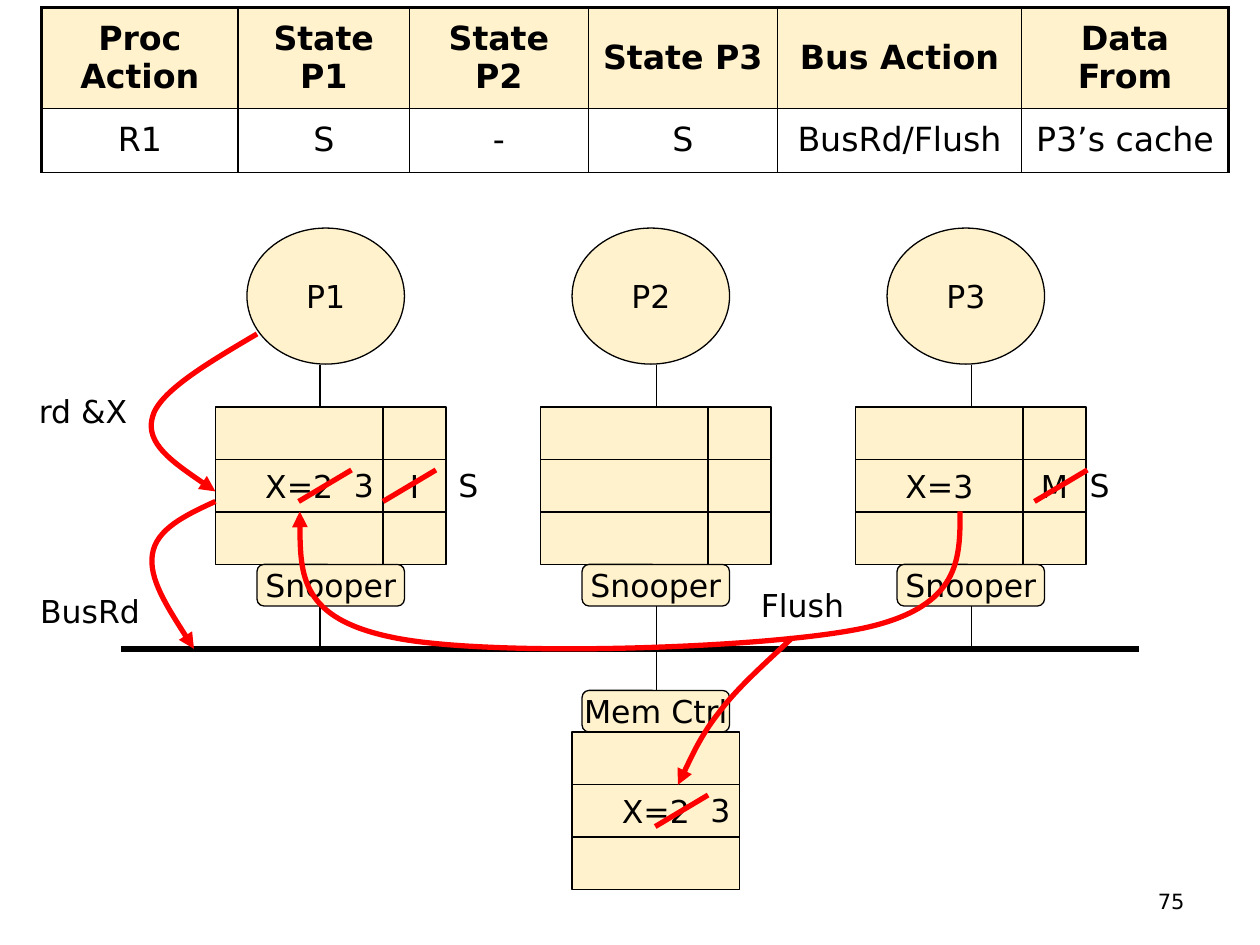
from dataclasses import dataclass

from lxml.etree import SubElement
from pptx import Presentation
from pptx.dml.color import RGBColor
from pptx.enum.shapes import MSO_CONNECTOR, MSO_SHAPE
from pptx.enum.text import MSO_ANCHOR, MSO_AUTO_SIZE, PP_ALIGN
from pptx.oxml.ns import qn
from pptx.util import Inches, Pt

LINE = MSO_CONNECTOR.STRAIGHT
RECT, ROUND, OVAL = MSO_SHAPE.RECTANGLE, MSO_SHAPE.ROUNDED_RECTANGLE, MSO_SHAPE.OVAL
LEFT, MID, RIGHT = PP_ALIGN.LEFT, PP_ALIGN.CENTER, PP_ALIGN.RIGHT
TOP, CENTER = MSO_ANCHOR.TOP, MSO_ANCHOR.MIDDLE
GROW = MSO_AUTO_SIZE.SHAPE_TO_FIT_TEXT


@dataclass(frozen=True)
class Theme:
    """Colours, font, type sizes and line widths."""
    ink: str = "000000"
    cream: str = "FFF2CC"
    red: str = "FF0000"
    font: str = "DejaVu Sans"
    body: int = 18
    table: int = 19
    small: int = 12
    thin: float = 0.75
    bold: float = 3
    bus: float = 3.25
    rule: float = 1
    frame: float = 2.25


THEME = Theme()
ROW = 1.25 / 3
WIDTHS = (1.33, 0.5)
HEADS = ("Proc Action", "State P1", "State P2", "State P3", "Bus Action", "Data From")
STEP = ("R1", "S", "-", "S", "BusRd/Flush", "P3’s cache")
COLS = (1.56, 1.36, 1.42, 1.5, 1.94, 1.64)
PROCS = (
    ("P1", 1.71, 0.83, ("X=2", "I")),
    ("P2", 4.29, 0.92, ("", "")),
    ("P3", 6.79, 0.92, ("X=3", "M")),
)
EDITS = (
    (5.2, 6.56, 0.34, "3"),
    (3.04, 3.98, 0.5, "S"),
    (2.37, 3.98, 0.34, "3"),
    (8.21, 3.98, 0.34, "S"),
)
FLOWS = (
    ((2.04, 2.65), (1.65, 2.88), (1.26, 3.11), (1.21, 3.31),
     (1.15, 3.52), (1.43, 3.71), (1.71, 3.9)),
    ((1.71, 3.98), (1.47, 4.09), (1.24, 4.2), (1.21, 4.4),
     (1.18, 4.59), (1.36, 4.87), (1.54, 5.15)),
    ((7.62, 4.06), (7.62, 4.44), (7.62, 4.81), (6.88, 4.98),
     (6.12, 5.15), (3.88, 5.22), (3.12, 5.06),
     (2.38, 4.91), (2.38, 4.49), (2.38, 4.06)),
    ((6.29, 5.06), (6.08, 5.26), (5.86, 5.45), (5.71, 5.65),
     (5.56, 5.84), (5.43, 6.13), (5.38, 6.23)),
)
NOTES = (
    ("rd &X", (0.21, 3.06, 0.9, 0.4)),
    ("BusRd", (0.22, 4.65, 0.99, 0.4)),
    ("Flush", (5.94, 4.6, 0.86, 0.4)),
)


def write(frame, text, size, align, bold=False):
    """Fill a text frame with one styled paragraph."""
    frame.text = text
    para = frame.paragraphs[0]
    para.alignment = align
    for run in para.runs:
        run.font.name = THEME.font
        run.font.size = Pt(size)
        run.font.bold = bold
        run.font.color.rgb = RGBColor.from_string(THEME.ink)


def stroke(line, color, width):
    """Set the colour and width of a line."""
    line.color.rgb = RGBColor.from_string(color)
    line.width = Pt(width)


def block(slide, kind, box, text=""):
    """Add a cream shape with an optional centred label."""
    shape = slide.shapes.add_shape(kind, *map(Inches, box))
    shape.shadow.inherit = False
    shape.fill.solid()
    shape.fill.fore_color.rgb = RGBColor.from_string(THEME.cream)
    stroke(shape.line, THEME.ink, THEME.thin)
    if text:
        frame = shape.text_frame
        write(frame, text, THEME.body, MID)
        frame.word_wrap = False
        frame.vertical_anchor = CENTER


def wire(slide, start, end, color=THEME.ink, width=THEME.thin):
    """Add a straight line between two points."""
    line = slide.shapes.add_connector(LINE, *map(Inches, start + end))
    stroke(line.line, color, width)
    SubElement(line._element.spPr, qn("a:effectLst"))


def label(slide, text, box):
    """Add a free label that grows with its text."""
    frame = slide.shapes.add_textbox(*map(Inches, box)).text_frame
    write(frame, text, THEME.body, LEFT)
    frame.word_wrap = False
    frame.auto_size = GROW
    frame.vertical_anchor = TOP


def flow(slide, points):
    """Add a red curved arrow through cubic Bezier points."""
    spots = [(Inches(x), Inches(y)) for x, y in points]
    form = slide.shapes.build_freeform(*spots[0])
    form.add_line_segments(spots[1:], close=False)
    shape = form.convert_to_shape()
    shape.shadow.inherit = False
    shape.fill.background()
    stroke(shape.line, THEME.red, THEME.bold)
    SubElement(shape.line._get_or_add_ln(), qn("a:tailEnd"), type="triangle")
    track = next(shape._element.iter(qn("a:path")))
    lines = track.findall(qn("a:lnTo"))
    for start in range(0, len(lines), 3):
        curve = SubElement(track, qn("a:cubicBezTo"))
        for line in lines[start:start + 3]:
            curve.append(line[0])
            track.remove(line)


def store(slide, left, top, widths, words):
    """Stack three rows of cells, with words in the middle row."""
    for row in range(3):
        x = left
        for width, word in zip(widths, words):
            block(slide, RECT, (x, top + row * ROW, width, ROW), word if row == 1 else "")
            x += width


def proc(slide, name, left, drop, words):
    """Add a processor with its cache, snooper and wires."""
    x = left + drop
    block(slide, OVAL, (left + 0.25, 1.81, 1.25, 1.08), name)
    wire(slide, (x, 2.9), (x, 3.23))
    store(slide, left, 3.23, WIDTHS, words)
    block(slide, ROUND, (left + 0.33, 4.48, 1.17, 0.33), "Snooper")
    wire(slide, (x, 4.81), (x, 5.15))


def memory(slide, left, top):
    """Add the memory with its controller and bus wire."""
    x = left + 0.67
    wire(slide, (x, top), (x, top + 0.33))
    block(slide, ROUND, (left + 0.08, top + 0.33, 1.17, 0.33), "Mem Ctrl")
    store(slide, left, top + 0.66, WIDTHS[:1], ("X=2",))


def edit(slide, x, y, shift, text):
    """Strike out a value and write the new one beside it."""
    wire(slide, (x, y), (x + 0.42, y - 0.25), THEME.red, THEME.bold)
    label(slide, text, (x + shift, y - 0.33, 0.36, 0.4))


def edge(cell, sides):
    """Draw the borders of a cell from side names and widths."""
    props = cell._tc.get_or_add_tcPr()
    for side, width in sides.items():
        line = SubElement(props, qn(f"a:ln{side}"), w=str(Pt(width)))
        fill = SubElement(line, qn("a:solidFill"))
        SubElement(fill, qn("a:srgbClr"), val=THEME.ink)


def trace(slide, box):
    """Add the table of processor and bus actions."""
    table = slide.shapes.add_table(2, len(COLS), *map(Inches, box)).table
    table.first_row = table.horz_banding = False
    for col, width in zip(table.columns, COLS):
        col.width = Inches(width)
    for row, height in zip(table.rows, (0.8, 0.51)):
        row.height = Inches(height)
    for r, words in enumerate((HEADS, STEP)):
        for c, word in enumerate(words):
            cell = table.cell(r, c)
            write(cell.text_frame, word, THEME.table, MID, r == 0)
            cell.vertical_anchor = CENTER
            edge(cell, {
                "L": THEME.frame if c == 0 else THEME.rule,
                "R": THEME.frame if c == len(COLS) - 1 else THEME.rule,
                "T": THEME.frame if r == 0 else THEME.rule,
                "B": THEME.rule,
            })
            if r == 0:
                cell.fill.solid()
                cell.fill.fore_color.rgb = RGBColor.from_string(THEME.cream)
            else:
                cell.fill.background()


def folio(slide, text, box):
    """Add the page number."""
    frame = slide.shapes.add_textbox(*map(Inches, box)).text_frame
    write(frame, text, THEME.small, RIGHT)
    frame.word_wrap = True
    frame.vertical_anchor = CENTER


def main():
    """Build the slide and save it."""
    deck = Presentation()
    deck.slide_width, deck.slide_height = Inches(10), Inches(7.5)
    slide = deck.slides.add_slide(deck.slide_layouts[6])
    folio(slide, "75", (7.17, 6.95, 2.33, 0.4))
    wire(slide, (0.96, 5.15), (9.04, 5.15), width=THEME.bus)
    for item in PROCS:
        proc(slide, *item)
    memory(slide, 4.54, 5.15)
    for item in EDITS:
        edit(slide, *item)
    for points in FLOWS:
        flow(slide, points)
    for text, box in NOTES:
        label(slide, text, box)
    trace(slide, (0.33, 0.06, 9.42, 1.31))
    deck.save("out.pptx")


if __name__ == "__main__":
    main()
